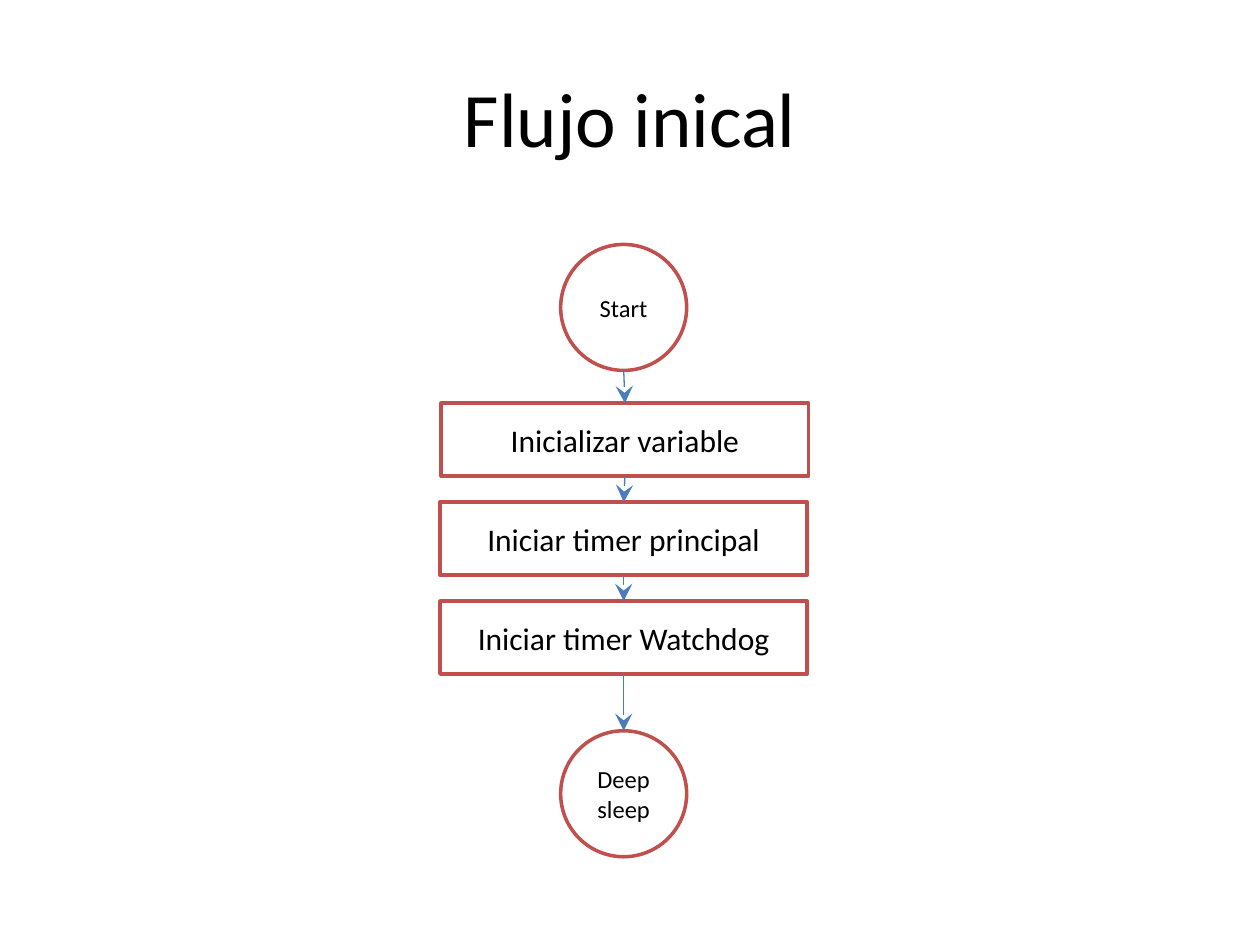
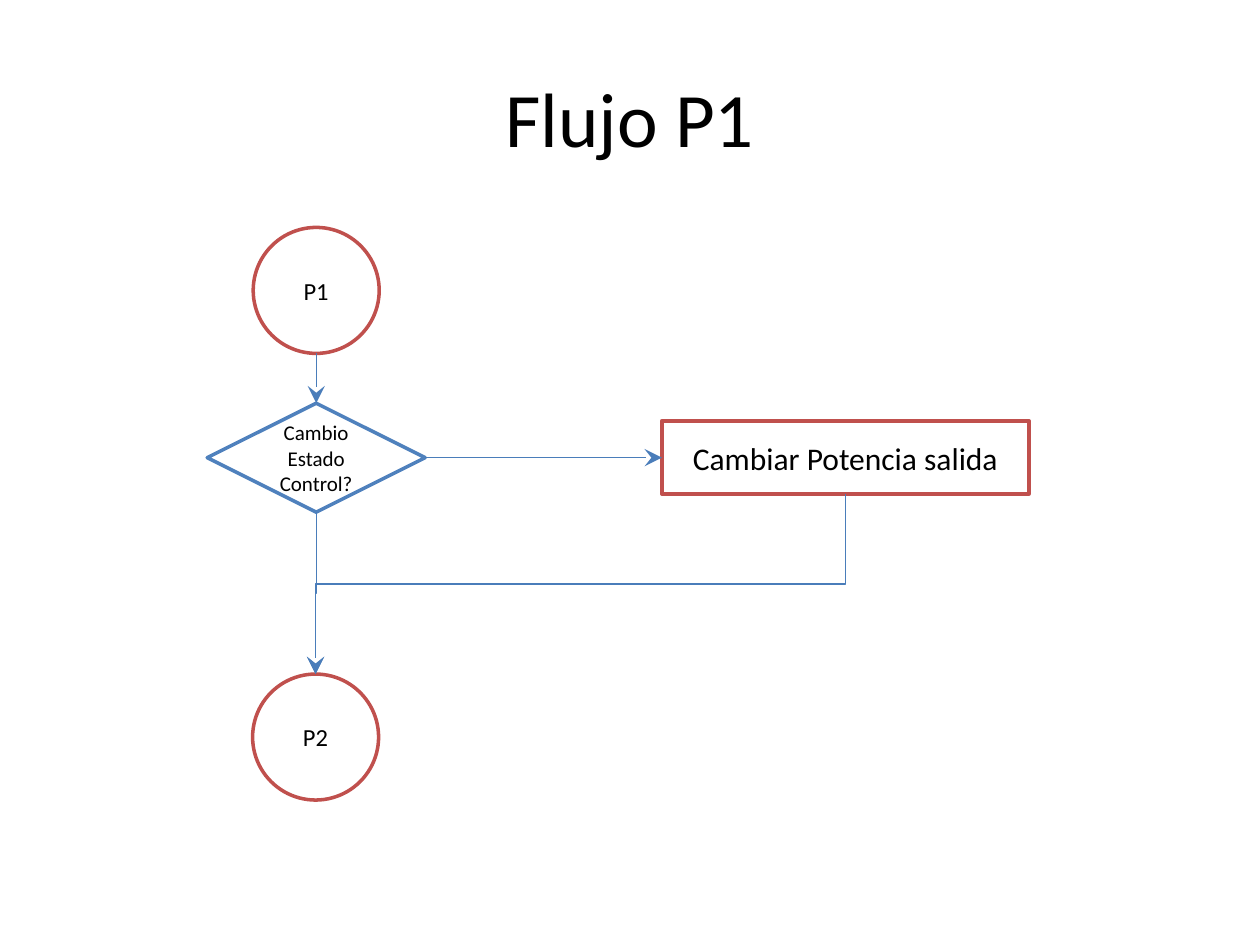
from itertools import pairwise

from pptx import Presentation
from pptx.dml.color import RGBColor
from pptx.enum.shapes import MSO_CONNECTOR, MSO_SHAPE
from pptx.enum.text import MSO_ANCHOR, PP_ALIGN
from pptx.oxml.ns import qn
from pptx.util import Inches, Pt
from lxml.etree import SubElement

COLORS = {"paper": "FFFFFF", "ink": "000000", "step": "C0504D",
          "decision": "4F81BD", "arrow": "4A7DBA"}
COLUMNS, ROWS = 100, 75
BOX_PITCH = 7.85


class FlowDeck:
    """Draw flowcharts on a grid of 100 columns by 75 rows."""

    def __init__(self):
        self.deck = Presentation()
        self.deck.slide_width = Inches(10)
        self.deck.slide_height = Inches(7.5)
        self.column = self.deck.slide_width / COLUMNS
        self.row = self.deck.slide_height / ROWS

    def grid(self, left, top, width, height):
        return (round(left * self.column), round(top * self.row),
                round(width * self.column), round(height * self.row))

    def label(self, shape, text, size):
        frame = shape.text_frame
        frame.word_wrap = True
        frame.vertical_anchor = MSO_ANCHOR.MIDDLE
        paragraph = frame.paragraphs[0]
        paragraph.alignment = PP_ALIGN.CENTER
        run = paragraph.add_run()
        run.text = text
        run.font.name = "Calibri"
        run.font.size = Pt(size)
        run.font.color.rgb = RGBColor.from_string(COLORS["ink"])

    def slide(self, title):
        self.page = self.deck.slides.add_slide(self.deck.slide_layouts[6])
        heading = self.page.shapes.add_textbox(*self.grid(5, 3, 90, 12.5))
        self.label(heading, title, 44)

    def node(self, preset, center, top, width, height, text, size, outline="step"):
        area = self.grid(center - width / 2, top, width, height)
        node = self.page.shapes.add_shape(preset, *area)
        node.shadow.inherit = False
        node.fill.solid()
        node.fill.fore_color.rgb = RGBColor.from_string(COLORS["paper"])
        node.line.color.rgb = RGBColor.from_string(COLORS[outline])
        node.line.width = Pt(2)
        self.label(node, text, size)
        return node

    def terminal(self, text, center, top):
        return self.node(MSO_SHAPE.OVAL, center, top, 10, 10, text, 14)

    def process(self, text, center, top):
        return self.node(MSO_SHAPE.RECTANGLE, center, top, 29.15, 5.8, text, 18)

    def decision(self, text, center, top):
        return self.node(MSO_SHAPE.DIAMOND, center, top, 17.3, 8.65, text, 12, "decision")

    def arrow(self, kind, *ends):
        arrow = self.page.shapes.add_connector(kind, *map(round, ends))
        arrow.line.color.rgb = RGBColor.from_string(COLORS["arrow"])
        arrow.line.width = Pt(0.75)
        properties = arrow._element.spPr
        SubElement(properties.find(qn("a:ln")), qn("a:tailEnd"),
                   type="stealth", w="lg", len="lg")
        SubElement(properties, qn("a:effectLst"))
        return arrow

    def down(self, source, target):
        self.arrow(MSO_CONNECTOR.STRAIGHT,
                   source.left + source.width / 2, source.top + source.height,
                   target.left + target.width / 2, target.top)

    def across(self, source, target):
        middle = source.top + source.height / 2
        self.arrow(MSO_CONNECTOR.ELBOW, source.left + source.width, middle,
                   target.left, middle)

    def down_and_left(self, source, target):
        start_x = source.left + source.width / 2
        end_x = target.left + target.width / 2
        start_y, end_y = source.top + source.height, target.top
        middle_x, middle_y = (start_x + end_x) / 2, (start_y + end_y) / 2
        half_drop, half_shift = (end_y - start_y) / 2, (start_x - end_x) / 2
        elbow = self.arrow(MSO_CONNECTOR.ELBOW,
                           middle_x - half_drop, middle_y - half_shift,
                           middle_x + half_drop, middle_y + half_shift)
        elbow._element.spPr.xfrm.set("rot", str(90 * 60000))


flow = FlowDeck()

flow.slide("Flujo inical")
start = flow.terminal("Start", 49.5, 19.4)
setup = [flow.process(text, center, 32 + index * BOX_PITCH)
         for index, (text, center) in enumerate([
             ("Inicializar variable", 49.6),
             ("Iniciar timer principal", 49.5),
             ("Iniciar timer Watchdog", 49.5)])]
deep_sleep = flow.terminal("Deep sleep", 49.5, 58)
for source, target in pairwise([start, *setup, deep_sleep]):
    flow.down(source, target)

flow.slide("Flujo P1")
change_power = flow.process("Cambiar Potencia salida", 67.1, 33.4)
state_changed = flow.decision("Cambio Estado Control?", 25.1, 32)
entry = flow.terminal("P1", 25.1, 18.05)
following = flow.terminal("P2", 25.05, 53.5)
flow.down_and_left(entry, state_changed)
flow.across(state_changed, change_power)
flow.down_and_left(state_changed, following)
flow.down_and_left(change_power, following)

flow.deck.save("out.pptx")
